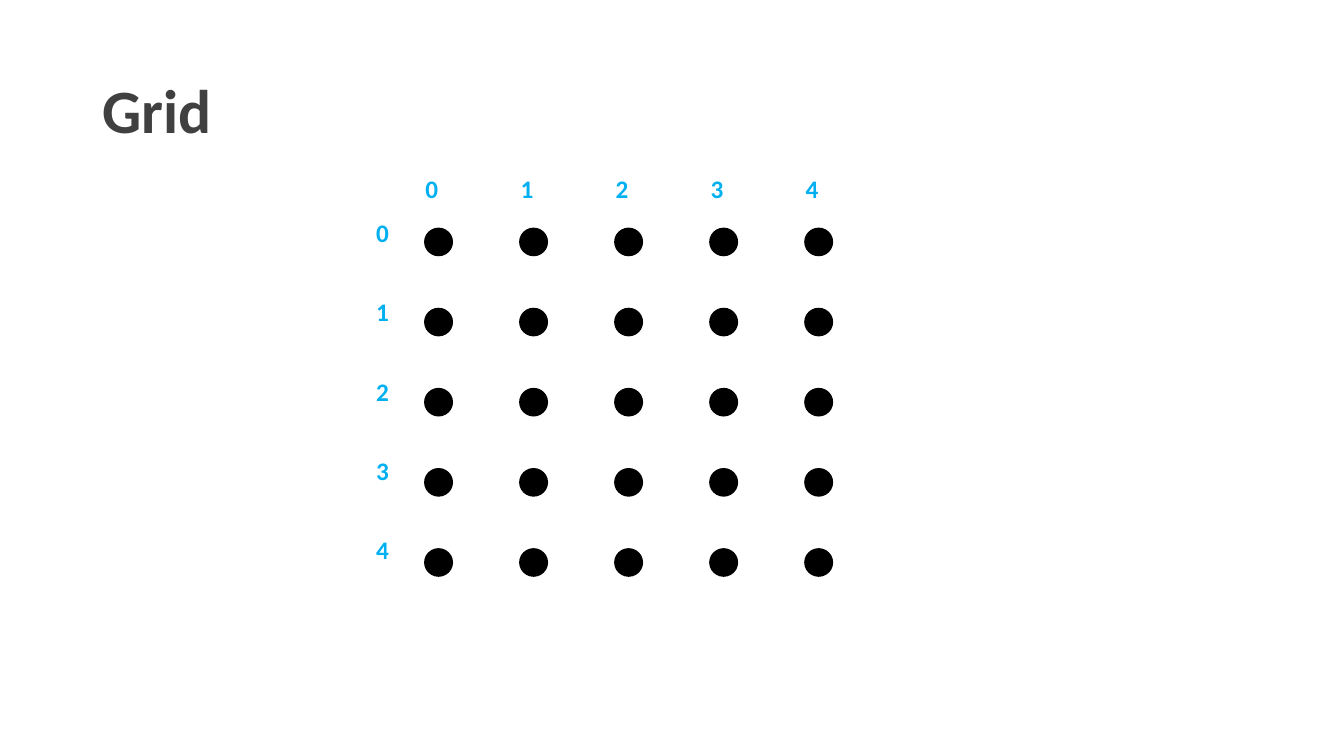
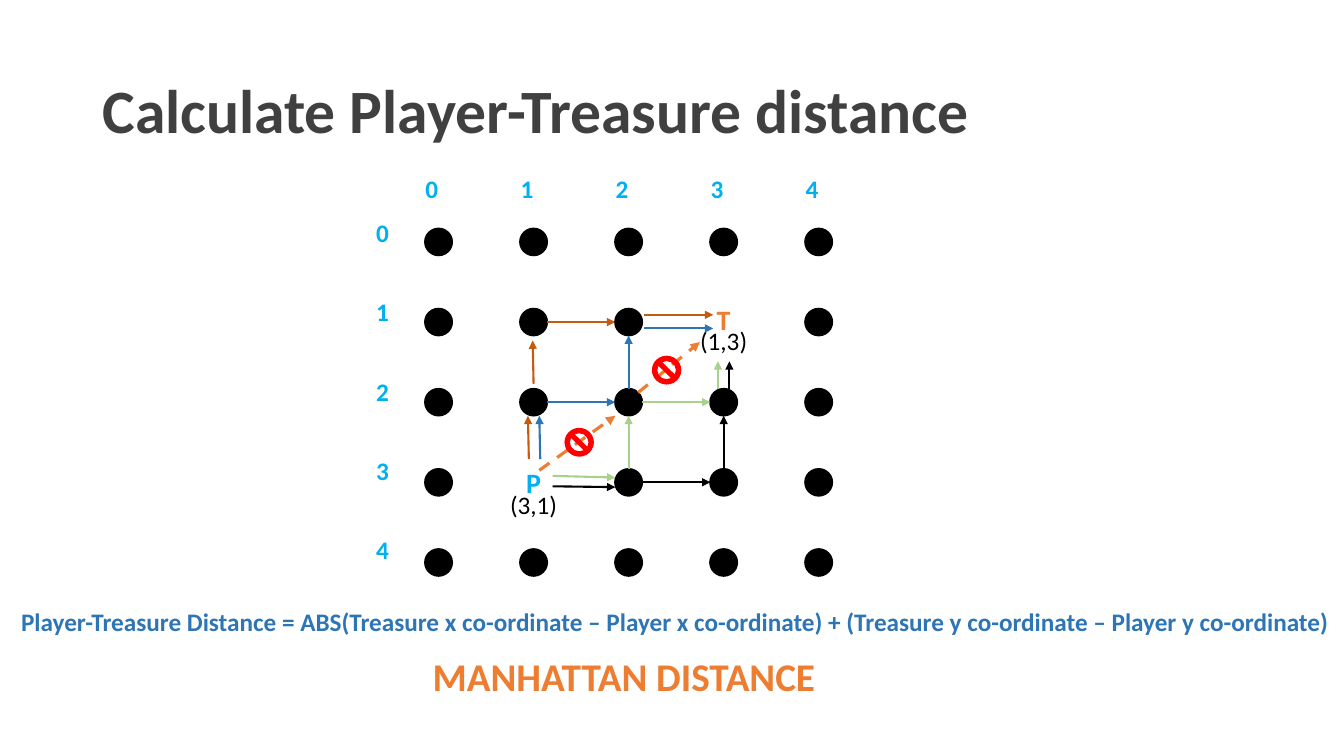
import dataclasses
import itertools

import pptx
import pptx.dml.color
import pptx.enum.dml
import pptx.enum.shapes
import pptx.enum.text
import pptx.oxml
import pptx.oxml.ns
import pptx.util

SHAPE = pptx.enum.shapes.MSO_SHAPE
INCH = pptx.util.Inches


@dataclasses.dataclass(frozen=True)
class Theme:
    font: str = "Calibri"
    # Colours
    title: str = "404040"
    ink: str = "000000"
    paper: str = "FFFFFF"
    sky: str = "00B0F0"
    blue: str = "2E75B6"
    green: str = "A9D18E"
    rust: str = "C55A11"
    orange: str = "ED7D31"
    red: str = "FF0000"
    # Type sizes and line widths in points
    head: int = 44
    large: int = 28
    mark: int = 20
    body: int = 18
    thin: float = 1.5
    thick: float = 2.25


def tint(code):
    return pptx.dml.color.RGBColor.from_string(code)


class Deck:
    """Places elements by centre and size, in columns and rows of the dot grid."""
    wide, high = 13.33, 7.5
    left, top = 4.35, 2.4            # centre of dot (0, 0), in inches
    col, row = 3.77 / 4, 3.18 / 4    # gaps between dots, in inches
    count = 5

    def __init__(self, theme):
        self.theme = theme
        self.prs = pptx.Presentation()
        self.prs.slide_width = INCH(self.wide)
        self.prs.slide_height = INCH(self.high)
        self.slide = None

    def point(self, x, y):
        return INCH(self.left + x * self.col), INCH(self.top + y * self.row)

    def frame(self, x, y, w, h):
        return *self.point(x - w / 2, y - h / 2), INCH(w * self.col), INCH(h * self.row)

    def page(self, title):
        self.slide = self.prs.slides.add_slide(self.prs.slide_layouts[6])
        self.text(title, 2.46, -1.6, 12.2, 1.82, size=self.theme.head,
                  color=self.theme.title, align="LEFT", anchor="MIDDLE",
                  wrap=True, space=0.9)

    def text(self, words, x, y, w, h, *, size=None, color=None, bold=True,
             align="CENTER", anchor="TOP", wrap=False, space=None):
        box = self.slide.shapes.add_textbox(*self.frame(x, y, w, h))
        body = box.text_frame
        body.word_wrap = wrap
        body.vertical_anchor = getattr(pptx.enum.text.MSO_ANCHOR, anchor)
        para = body.paragraphs[0]
        para.alignment = getattr(pptx.enum.text.PP_ALIGN, align)
        if space:
            para.line_spacing = space
        run = para.add_run()
        run.text = words
        run.font.name = self.theme.font
        run.font.size = pptx.util.Pt(size or self.theme.body)
        run.font.bold = bold
        run.font.color.rgb = tint(color or self.theme.ink)

    def shape(self, kind, x, y, w, h, fill, line=None):
        item = self.slide.shapes.add_shape(kind, *self.frame(x, y, w, h))
        item.shadow.inherit = False
        item.fill.solid()
        item.fill.fore_color.rgb = tint(fill)
        if line:
            item.line.color.rgb = tint(line)
            item.line.width = pptx.util.Pt(1)
        else:
            item.line.fill.background()

    def arrow(self, start, end, color, dash=False):
        link = self.slide.shapes.add_connector(
            pptx.enum.shapes.MSO_CONNECTOR.STRAIGHT, *self.point(*start), *self.point(*end))
        link.line.color.rgb = tint(color)
        link.line.width = pptx.util.Pt(self.theme.thick if dash else self.theme.thin)
        if dash:
            link.line.dash_style = pptx.enum.dml.MSO_LINE.DASH
        props = link._element.spPr
        tip = pptx.oxml.parse_xml(
            f'<a:tailEnd {pptx.oxml.ns.nsdecls("a")} type="triangle"/>')
        props.find(pptx.oxml.ns.qn("a:ln")).append(tip)
        props.append(pptx.oxml.parse_xml(
            f'<a:effectLst {pptx.oxml.ns.nsdecls("a")}/>'))

    def grid(self, skip=()):
        ink, sky = self.theme.ink, self.theme.sky
        for y, x in itertools.product(range(self.count), repeat=2):
            if (x, y) not in skip:
                self.shape(SHAPE.OVAL, x, y, 0.29, 0.34, ink, line=ink)
        for n in range(self.count):
            self.text(str(n), n - 0.07, -0.67, 0.35, 0.5, color=sky)
            self.text(str(n), -0.59, 0.99 * n - 0.12, 0.35, 0.5, color=sky)

    def piece(self, name, spot, x, y, drop, color):
        self.shape(SHAPE.RECTANGLE, x, y, 0.72, 0.89, self.theme.paper)
        self.text(name, x, y, 0.37, 0.55, size=self.theme.mark, color=color)
        self.text(spot, x, y + drop, 0.72, 0.5, bold=False)

    def ban(self, x, y):
        self.shape(SHAPE.NO_SYMBOL, x, y, 0.31, 0.36, self.theme.red)


def main():
    theme = Theme()
    deck = Deck(theme)

    # Plain grid
    deck.page("Grid")
    deck.grid()

    # Grid with player and treasure
    deck.page("Calculate Player-Treasure distance")
    deck.grid(skip={(1, 3), (3, 1)})
    deck.piece("P", "(3,1)", 1, 3, 0.28, theme.sky)
    deck.piece("T", "(1,3)", 3, 0.97, 0.26, theme.orange)

    # Formula and its name
    deck.text("Player-Treasure Distance = ABS(Treasure x co-ordinate – Player x "
              "co-ordinate) + (Treasure y co-ordinate – Player y co-ordinate)",
              2.49, 4.74, 14.05, 0.5, color=theme.blue)
    deck.text("MANHATTAN DISTANCE", 1.95, 5.42, 4.29, 0.72,
              size=theme.large, color=theme.orange)

    # Four allowed routes, each step from (column, row) to (column, row)
    routes = {
        theme.ink: [((1.2, 3.05), (1.86, 3.06)), ((2.14, 3), (2.86, 3)),
                    ((3, 2.83), (3, 2.17)), ((3.06, 1.83), (3.06, 1.49))],
        theme.green: [((1.2, 2.92), (1.86, 2.94)), ((2, 2.83), (2, 2.17)),
                      ((2.14, 2), (2.86, 2)), ((2.94, 1.83), (2.94, 1.49))],
        theme.rust: [((0.95, 2.71), (0.94, 2.17)), ((1, 1.77), (0.99, 1.23)),
                     ((1.14, 1), (1.86, 1)), ((2.16, 0.91), (2.89, 0.91))],
        theme.blue: [((1.07, 2.71), (1.06, 2.17)), ((1.14, 2), (1.86, 2)),
                     ((2, 1.83), (2, 1.17)), ((2.16, 1.08), (2.89, 1.08))],
    }
    for color, steps in routes.items():
        for start, end in steps:
            deck.arrow(start, end, color)

    # Forbidden diagonal
    deck.arrow((1.06, 2.85), (1.86, 2.17), theme.orange, dash=True)
    deck.arrow((2.1, 1.88), (2.75, 1.25), theme.orange, dash=True)
    deck.ban(1.48, 2.5)
    deck.ban(2.4, 1.6)

    deck.prs.save("out.pptx")


if __name__ == "__main__":
    main()
